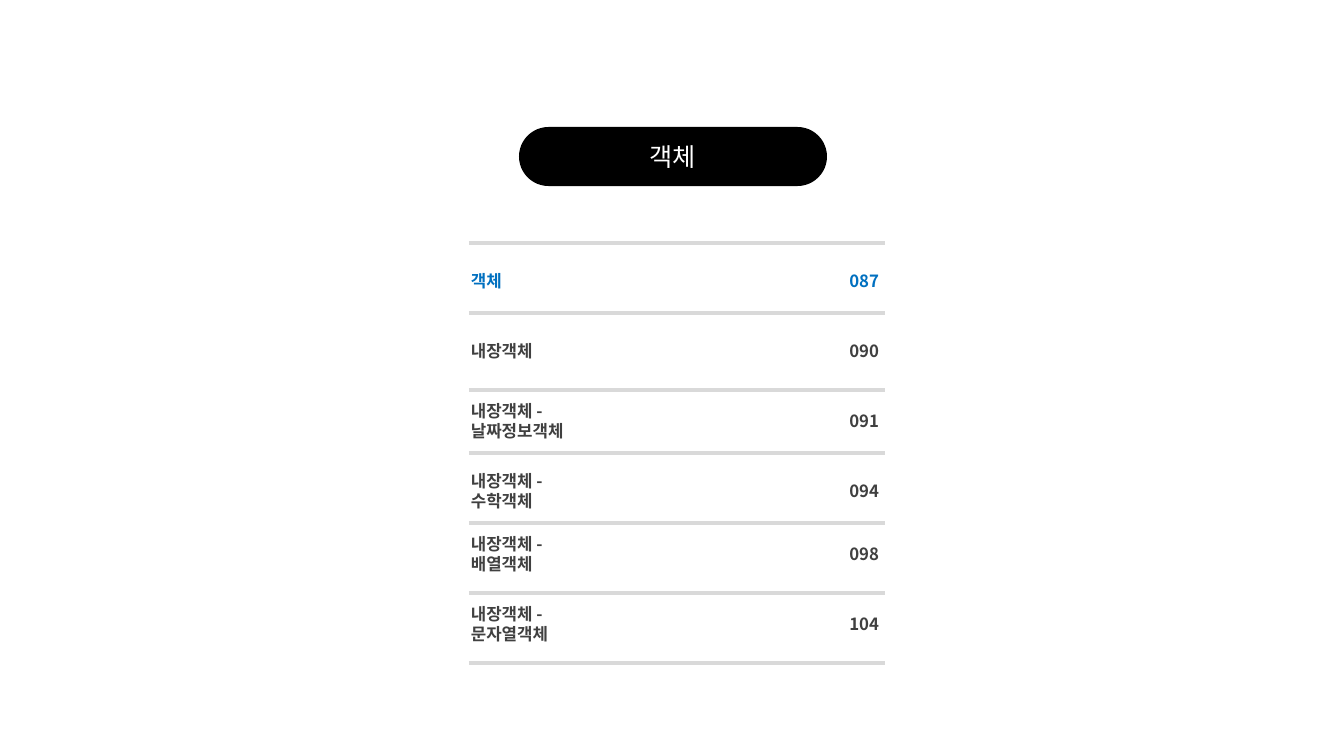
from lxml import etree
from pptx import Presentation, util as u
from pptx.dml.color import RGBColor
from pptx.enum import shapes, text
from pptx.oxml.ns import qn

FONT = "Noto Sans CJK KR"
BLACK, WHITE, BLUE, DARK, GRAY = "000000", "FFFFFF", "0070C0", "404040", "D9D9D9"
LEFT, RIGHT, CENTER = text.PP_ALIGN.LEFT, text.PP_ALIGN.RIGHT, text.PP_ALIGN.CENTER


def px(n):
    """Turn pixels, 100.8 to the inch, into EMU."""
    return u.Emu(round(n * 914400 / 100.8))


def write(box, words, size, color, align, bold=False):
    frame = box.text_frame
    frame.vertical_anchor = text.MSO_ANCHOR.MIDDLE
    para = frame.paragraphs[0]
    para.text = words
    para.alignment = align
    for span in para.runs:
        span.font.size = u.Pt(size)
        span.font.bold = bold
        span.font.color.rgb = RGBColor.from_string(color)
        span.font.name = FONT
        # Hangul takes its typeface from the East Asian slot
        etree.SubElement(span.font._element, qn("a:ea"), typeface=FONT)


deck = Presentation()
deck.slide_width, deck.slide_height = px(1344), px(756)
page = deck.slides.add_slide(deck.slide_layouts[6])

# Title pill
pill = page.shapes.add_shape(
    shapes.MSO_SHAPE.ROUNDED_RECTANGLE, px(519), px(127), px(308), px(59))
pill.adjustments[0] = 0.5
pill.shadow.inherit = False
pill.fill.solid()
pill.fill.fore_color.rgb = RGBColor.from_string(BLACK)
pill.line.fill.background()
write(pill, "객체", 18, WHITE, CENTER)

# Contents: top of the row, label, page number, colour
entries = [
    (266, "객체", "087", BLUE),
    (336, "내장객체", "090", DARK),
    (406, "내장객체 -\v날짜정보객체", "091", DARK),
    (476, "내장객체 -\v수학객체", "094", DARK),
    (539, "내장객체 -\v배열객체", "098", DARK),
    (609, "내장객체 -\v문자열객체", "104", DARK),
]
for top, label, number, color in entries:
    label_box = page.shapes.add_textbox(px(461), px(top), px(190), px(30))
    label_box.text_frame.word_wrap = True
    write(label_box, label, 12, color, LEFT, bold=True)
    number_box = page.shapes.add_textbox(px(838), px(top), px(51), px(30))
    number_box.text_frame.word_wrap = False
    write(number_box, number, 12, color, RIGHT, bold=True)

# Rules between the rows
for y in (243, 313, 390, 453, 523, 593, 663):
    rule = page.shapes.add_connector(
        shapes.MSO_CONNECTOR.STRAIGHT, px(469), px(y), px(885), px(y))
    rule.line.color.rgb = RGBColor.from_string(GRAY)
    rule.line.width = u.Pt(2.25)
    etree.SubElement(rule._element.spPr, qn("a:effectLst"))

deck.save("out.pptx")
